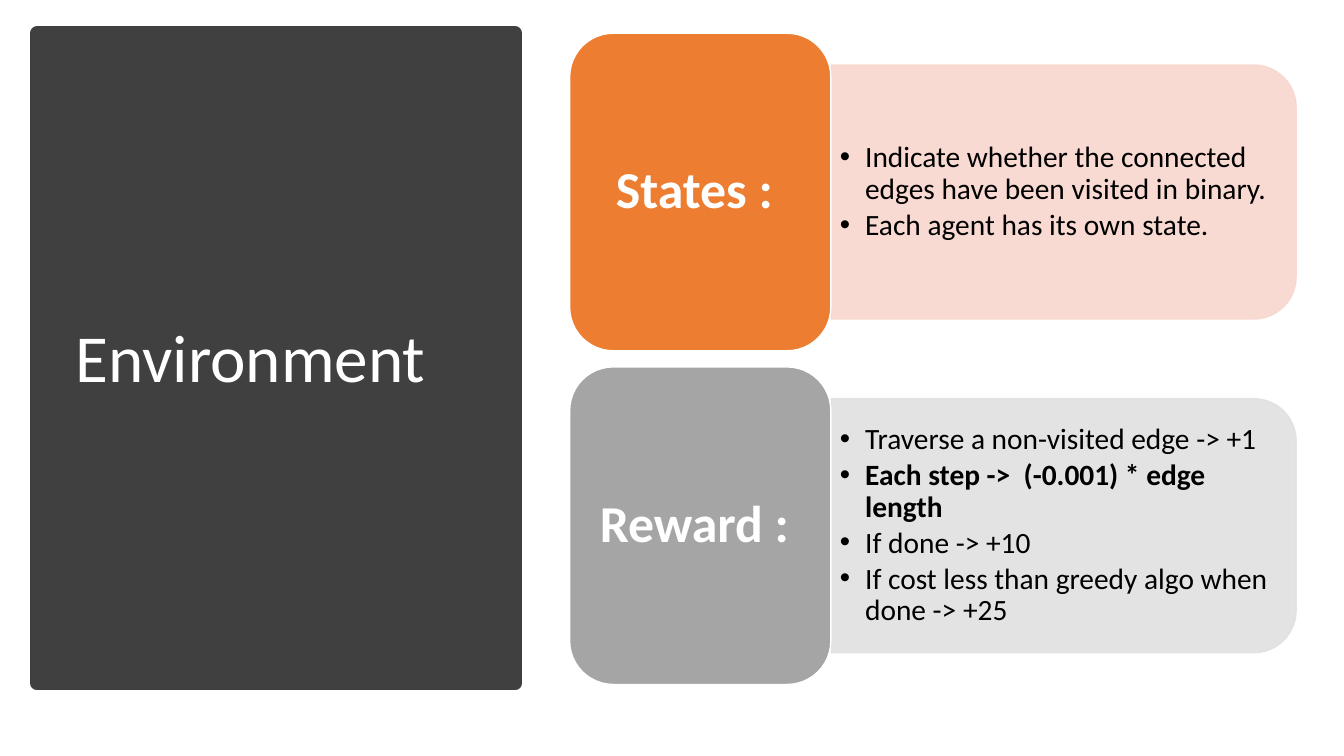
"""Build the Environment slide with its state and reward cards."""
import pptx
import pptx.dml.color
import pptx.enum.shapes
import pptx.enum.text
import pptx.oxml
import pptx.oxml.ns
import pptx.util
from pptx.util import Inches

RGBColor = pptx.dml.color.RGBColor
SHAPES = pptx.enum.shapes.MSO_SHAPE
ALIGN = pptx.enum.text.PP_ALIGN

CHARCOAL = RGBColor(0x40, 0x40, 0x40)
WHITE = RGBColor(0xFF, 0xFF, 0xFF)
BLACK = RGBColor(0x00, 0x00, 0x00)
ORANGE = RGBColor(0xED, 0x7D, 0x31)
PEACH = RGBColor(0xF8, 0xD7, 0xCE)
GRAY = RGBColor(0xA5, 0xA5, 0xA5)
PALE_GRAY = RGBColor(0xE1, 0xE1, 0xE1)

FIRST_TOP = 0.33
CARD_PITCH = 3.31
CARDS = [
    ("States : ", ORANGE, PEACH, [
        ("Indicate whether the connected edges have been visited in binary. ", False),
        ("Each agent has its own state.", False),
    ]),
    ("Reward : ", GRAY, PALE_GRAY, [
        ("Traverse a non-visited edge -> +1", False),
        ("Each step ->  (-0.001) * edge length ", True),
        ("If done -> +10", False),
        ("If cost less than greedy algo when done -> +25", False),
    ]),
]


def apply_format(target, values):
    """Set each named attribute of the target."""
    for name, value in values.items():
        setattr(target, name, value)


def add_block(slide, kind, box, fill, line, line_width=1):
    """Add a filled, outlined shape without a shadow."""
    block = slide.shapes.add_shape(kind, *map(Inches, box))
    block.shadow.inherit = False
    for paint, color in ((block.fill, fill), (block.line.fill, line)):
        paint.solid()
        paint.fore_color.rgb = color
    block.line.width = pptx.util.Pt(line_width)
    return block


def set_frame(frame, across, down):
    """Wrap the text, centre it vertically and set its margins."""
    apply_format(frame, {
        "word_wrap": True,
        "vertical_anchor": pptx.enum.text.MSO_ANCHOR.MIDDLE,
        "margin_left": Inches(across), "margin_right": Inches(across),
        "margin_top": Inches(down), "margin_bottom": Inches(down),
    })


def write_paragraph(paragraph, text, size, color, bold=False, align=ALIGN.LEFT):
    """Write one formatted paragraph."""
    apply_format(paragraph, {"alignment": align, "line_spacing": 0.9})
    run = paragraph.add_run()
    run.text = text
    apply_format(run.font, {"name": "Calibri", "size": pptx.util.Pt(size), "bold": bold})
    run.font.color.rgb = color


def add_bullet(paragraph):
    """Give a paragraph a hanging bullet."""
    properties = paragraph._p.get_or_add_pPr()
    properties.set("marL", str(Inches(0.25)))
    properties.set("indent", str(-Inches(0.25)))
    for tag, name, value in (("a:buFont", "typeface", "Arial"), ("a:buChar", "char", "•")):
        pptx.oxml.ns.qn(tag)
        bullet = pptx.oxml.parse_xml(f'<{tag} {pptx.oxml.ns.nsdecls("a")} {name}="{value}"/>')
        properties.append(bullet)


def add_detail_panel(slide, top, color):
    """Add the translucent panel with rounded right corners."""
    panel = add_block(slide, SHAPES.ROUND_2_SAME_RECTANGLE,
                      (9.29, top - 0.73, 2.52, 4.61), color, color)
    panel.rotation = 90
    for paint in panel._element.spPr.iter(pptx.oxml.ns.qn("a:srgbClr")):
        paint.append(pptx.oxml.parse_xml(
            f'<a:alpha {pptx.oxml.ns.nsdecls("a")} val="90000"/>'))


def add_details(slide, top, details):
    """Add the bulleted text over a panel."""
    frame = slide.shapes.add_textbox(
        *map(Inches, (8.24, top + 0.44, 4.49, 2.27))).text_frame
    set_frame(frame, 0.09, 0.04)
    for index, (text, bold) in enumerate(details):
        paragraph = frame.add_paragraph() if index else frame.paragraphs[0]
        write_paragraph(paragraph, text, 21, BLACK, bold)
        paragraph.space_after = pptx.util.Pt(3)
        add_bullet(paragraph)


def add_card(slide, top, heading, color, panel_color, details):
    """Add a heading tile with its detail panel."""
    add_detail_panel(slide, top, panel_color)
    add_details(slide, top, details)
    tile = add_block(slide, SHAPES.ROUNDED_RECTANGLE, (5.65, top, 2.59, 3.15), color, WHITE)
    set_frame(tile.text_frame, 0.15, 0.08)
    write_paragraph(tile.text_frame.paragraphs[0], heading, 37, WHITE, True, ALIGN.CENTER)


def add_title(slide):
    """Add the dark title block and its text."""
    add_block(slide, SHAPES.RECTANGLE, (0.37, FIRST_TOP, 4.74, 6.45), CHARCOAL, CHARCOAL, 10)
    frame = slide.shapes.add_textbox(*map(Inches, (0.65, 0.7, 4.16, 5.75))).text_frame
    set_frame(frame, 0.1, 0.05)
    write_paragraph(frame.paragraphs[0], "Environment", 48, WHITE)


def main():
    """Build and save the slide."""
    deck = pptx.Presentation()
    apply_format(deck, {"slide_width": Inches(13.33), "slide_height": Inches(7.5)})
    slide = deck.slides.add_slide(deck.slide_layouts[6])
    add_title(slide)
    for index, card in enumerate(CARDS):
        add_card(slide, FIRST_TOP + index * CARD_PITCH, *card)
    deck.save("out.pptx")


if __name__ == "__main__":
    main()
